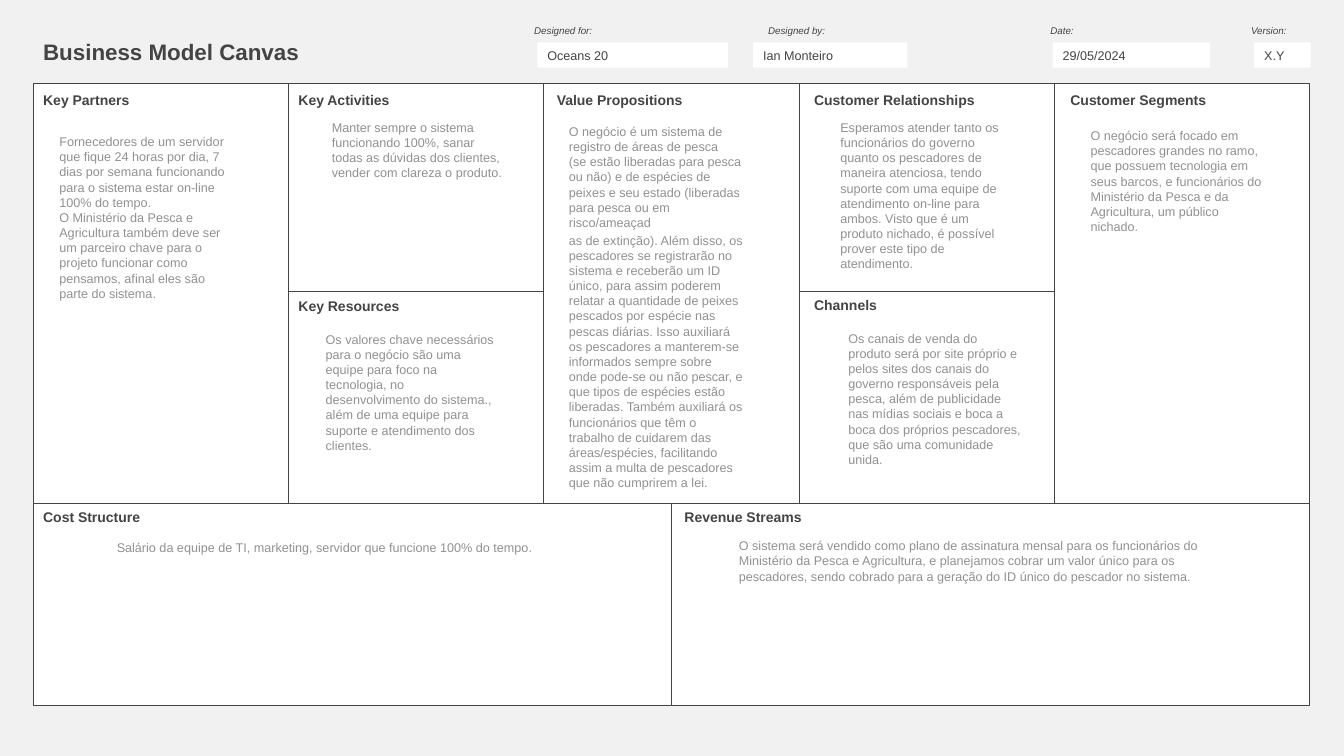
import dataclasses

import pptx
import pptx.dml.color
import pptx.enum.shapes
import pptx.enum.text
import pptx.util

SLIDE_SIZE = (13.33, 7.5)
CANVAS_LEFT = 0.33
COLUMN_WIDTH = 12.66 / 5
ROW_EDGES = (0.83, 2.89, 5.0, 7.0)
HEADING_SIZE = (2.35, 0.27)
FIELD_TOP, FIELD_HEIGHT = 0.42, 0.25
LABEL_TOP, LABEL_HEIGHT = 0.2, 0.22


class Theme:
    backdrop = "F1F1F1"
    paper = "FFFFFF"
    ink = "444444"
    rule = 0.75
    paragraph_gap = 1.8
    title = {"size": 16, "bold": True, "color": ink}
    label = {"size": 7, "italic": True, "color": ink}
    heading = {"size": 10, "bold": True, "color": ink}
    field = {"size": 9, "color": ink}
    note = {"size": 9, "color": "919191"}


@dataclasses.dataclass
class Block:
    """Grid edges are columns and rows; shifts are inches from the cell's corner."""
    heading: str
    columns: tuple
    rows: tuple
    heading_shift: tuple
    note_shift: tuple
    note_size: tuple
    paragraphs: list


BLOCKS = [
    Block("Key Partners", (0, 1), (0, 2), (0, 0.03), (0.16, 0.45), (1.92, 3.45), [
        "Fornecedores de um servidor que fique 24 horas por dia, 7 dias por semana "
        "funcionando para o sistema estar on-line 100% do tempo.\n"
        "O Ministério da Pesca e Agricultura também deve ser um parceiro chave para o "
        "projeto funcionar como pensamos, afinal eles são parte do sistema."]),
    Block("Key Activities", (1, 2), (0, 1), (0, 0.03), (0.33, 0.31), (1.92, 1.67), [
        "Manter sempre o sistema funcionando 100%, sanar todas as dúvidas dos clientes, "
        "vender com clareza o produto."]),
    Block("Key Resources", (1, 2), (1, 2), (0, 0.01), (0.27, 0.35), (1.92, 1.67), [
        "Os valores chave necessários para o negócio são uma equipe para foco na "
        "tecnologia, no desenvolvimento do sistema., além de uma equipe para suporte e "
        "atendimento dos clientes."]),
    Block("Value Propositions", (2, 3), (0, 2), (0.03, 0.03), (0.15, 0.35), (1.92, 3.75), [
        "O negócio é um sistema de registro de áreas de pesca\n"
        "(se estão liberadas para pesca ou não) e de espécies de peixes e seu estado "
        "(liberadas para pesca ou em risco/ameaçad",
        "as de extinção). Além disso, os pescadores se registrarão no sistema e receberão "
        "um ID único, para assim poderem relatar a quantidade de peixes pescados por "
        "espécie nas pescas diárias. Isso auxiliará os pescadores a manterem-se informados "
        "sempre sobre onde pode-se ou não pescar, e que tipos de espécies estão liberadas. "
        "Também auxiliará os funcionários que têm o trabalho de cuidarem das "
        "áreas/espécies, facilitando assim a multa de pescadores que não cumprirem a lei."]),
    Block("Customer Relationships", (3, 4), (0, 1), (0.05, 0.03), (0.31, 0.31), (1.92, 1.67), [
        "Esperamos atender tanto os funcionários do governo quanto os pescadores de "
        "maneira atenciosa, tendo suporte com uma equipe de atendimento on-line para "
        "ambos. Visto que é um produto nichado, é possível prover este tipo de "
        "atendimento."]),
    Block("Channels", (3, 4), (1, 2), (0.05, 0), (0.39, 0.34), (1.92, 1.67), [
        "Os canais de venda do produto será por site próprio e pelos sites dos canais do "
        "governo responsáveis pela pesca, além de publicidade nas mídias sociais e boca a "
        "boca dos próprios pescadores, que são uma comunidade unida."]),
    Block("Customer Segments", (4, 5), (0, 2), (0.06, 0.03), (0.26, 0.39), (1.92, 3.76), [
        "O negócio será focado em pescadores grandes no ramo, que possuem tecnologia em "
        "seus barcos, e funcionários do Ministério da Pesca e da Agricultura, um público "
        "nichado."]),
    Block("Cost Structure", (0, 2.5), (2, 3), (0, 0), (0.73, 0.31), (4.99, 1.58), [
        "Salário da equipe de TI, marketing, servidor que funcione 100% do tempo."]),
    Block("Revenue Streams", (2.5, 5), (2, 3), (0.03, 0), (0.57, 0.29), (4.96, 1.58), [
        "O sistema será vendido como plano de assinatura mensal para os funcionários do "
        "Ministério da Pesca e Agricultura, e planejamos cobrar um valor único para os "
        "pescadores, sendo cobrado para a geração do ID único do pescador no sistema."]),
]

# label, label left, label width, value, field left, field width
FIELDS = [
    ("Designed for:", 5.2, 1.89, "Oceans 20", 5.33, 1.89),
    ("Designed by:", 7.52, 1.89, "Ian Monteiro", 7.47, 1.53),
    ("Date:", 10.32, 1.63, "29/05/2024", 10.44, 1.56),
    ("Version:", 12.31, 0.84, "X.Y", 12.44, 0.56),
]


def rgb(value):
    return pptx.dml.color.RGBColor.from_string(value)


def inches(lengths):
    return [pptx.util.Inches(length) for length in lengths]


def cell_box(columns, rows):
    """Turn grid edges into left, top, width and height."""
    left, right = (CANVAS_LEFT + column * COLUMN_WIDTH for column in columns)
    top, bottom = (ROW_EDGES[row] for row in rows)
    return left, top, right - left, bottom - top


def write(frame, paragraphs, style, anchor, gap=0):
    frame.word_wrap = True
    frame.vertical_anchor = anchor
    for index, wording in enumerate(paragraphs):
        paragraph = frame.add_paragraph() if index else frame.paragraphs[0]
        paragraph.text = wording
        paragraph.alignment = pptx.enum.text.PP_ALIGN.LEFT
        paragraph.space_before = pptx.util.Pt(gap)
        for run in paragraph.runs:
            values = {**style, "name": "Arial", "size": pptx.util.Pt(style["size"])}
            run.font.color.rgb = rgb(values.pop("color"))
            for name, value in values.items():
                setattr(run.font, name, value)


def add_panel(slide, box, fill=None, line=None):
    panel = slide.shapes.add_shape(pptx.enum.shapes.MSO_SHAPE.RECTANGLE, *inches(box))
    panel.shadow.inherit = False
    if fill:
        panel.fill.solid()
        panel.fill.fore_color.rgb = rgb(fill)
    else:
        panel.fill.background()
    if line:
        panel.line.color.rgb = rgb(line)
        panel.line.width = pptx.util.Pt(Theme.rule)
    else:
        panel.line.fill.background()
    return panel


def add_caption(slide, box, wording, style):
    caption = slide.shapes.add_textbox(*inches(box))
    write(caption.text_frame, [wording], style, pptx.enum.text.MSO_ANCHOR.TOP)


def add_field(slide, label, label_left, label_width, value, left, width):
    add_caption(slide, (label_left, LABEL_TOP, label_width, LABEL_HEIGHT), label, Theme.label)
    field = add_panel(slide, (left, FIELD_TOP, width, FIELD_HEIGHT), Theme.paper)
    write(field.text_frame, [value], Theme.field, pptx.enum.text.MSO_ANCHOR.MIDDLE)


def add_block(slide, block):
    cell = cell_box(block.columns, block.rows)
    add_panel(slide, cell, line=Theme.ink)
    heading_corner, note_corner = (
        (cell[0] + across, cell[1] + down)
        for across, down in (block.heading_shift, block.note_shift))
    add_caption(slide, heading_corner + HEADING_SIZE, block.heading, Theme.heading)
    note = add_panel(slide, note_corner + block.note_size, Theme.paper)
    write(note.text_frame, block.paragraphs, Theme.note,
          pptx.enum.text.MSO_ANCHOR.TOP, Theme.paragraph_gap)


def main():
    deck = pptx.Presentation()
    deck.slide_width, deck.slide_height = inches(SLIDE_SIZE)
    slide = deck.slides.add_slide(deck.slide_layouts[6])
    slide.background.fill.solid()
    slide.background.fill.fore_color.rgb = rgb(Theme.backdrop)

    add_panel(slide, cell_box((0, 5), (0, 3)), Theme.paper, Theme.paper)
    add_caption(slide, (CANVAS_LEFT, 0.33, 3.46, 0.37), "Business Model Canvas", Theme.title)
    for field in FIELDS:
        add_field(slide, *field)
    for block in BLOCKS:
        add_block(slide, block)
    deck.save("out.pptx")


if __name__ == "__main__":
    main()
